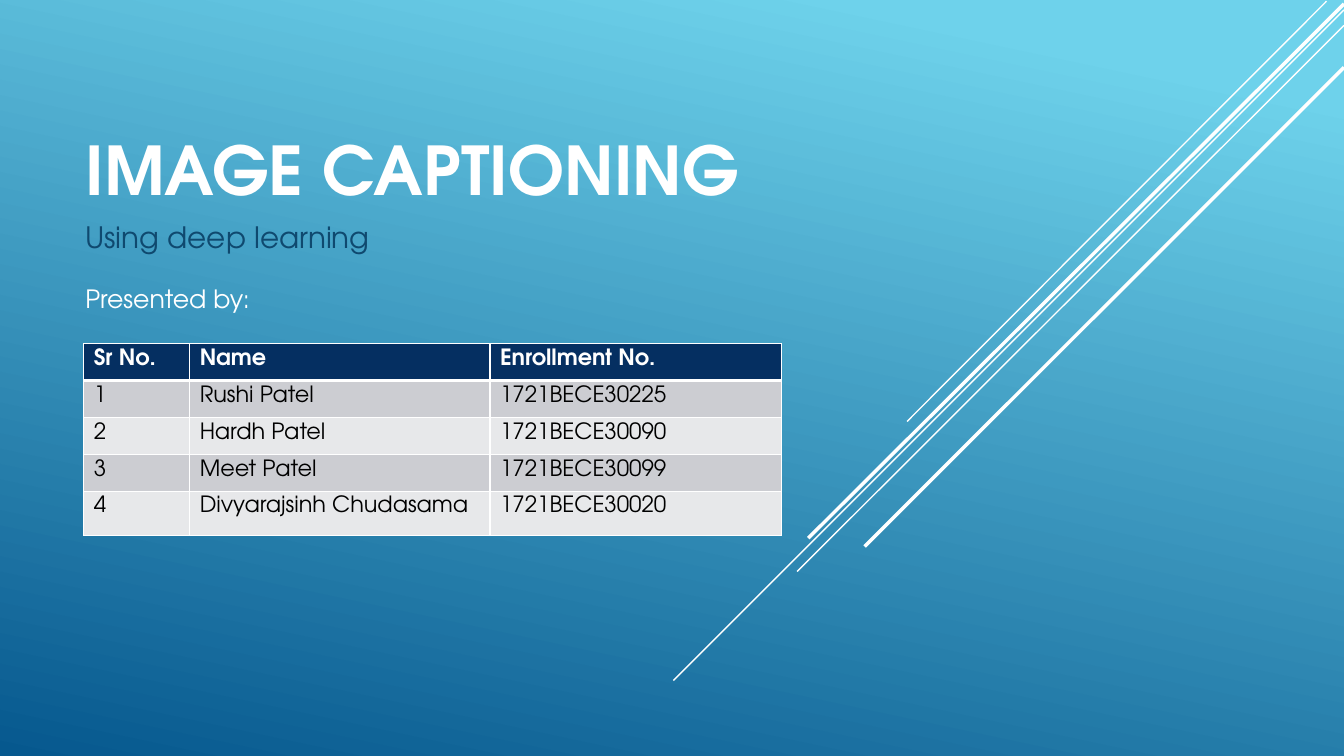
"""Build the title slide of the image captioning presentation."""
from dataclasses import dataclass

from lxml.etree import SubElement
from pptx import Presentation
from pptx.dml.color import RGBColor
from pptx.enum.shapes import MSO_CONNECTOR
from pptx.enum.text import MSO_ANCHOR, MSO_AUTO_SIZE, PP_ALIGN
from pptx.oxml.ns import qn
from pptx.shapes.base import BaseShape
from pptx.slide import Slide
from pptx.table import _Cell
from pptx.util import Cm, Pt

FONT = "TeX Gyre Adventor"
WHITE, BLACK, NAVY, TEAL = "FFFFFF", "000000", "052F61", "0F496F"
BAND_FILLS = ("E7E8EA", "CCCDD2")


@dataclass(frozen=True)
class Ray:
    start_x: float
    start_y: float
    end_x: float
    end_y: float
    width: float


@dataclass(frozen=True)
class TextStyle:
    size: float
    color: str
    bold: bool = False


@dataclass(frozen=True)
class Label:
    text: str
    left: float
    top: float
    width: float
    height: float
    style: TextStyle
    anchor: MSO_ANCHOR = MSO_ANCHOR.TOP


RAYS = (
    Ray(33.43, 0.03, 22.86, 10.62, 1),
    Ray(33.87, 0.25, 16.97, 17.15, 1),
    Ray(33.87, 0.64, 20.09, 14.4, 1),
    Ray(33.87, 0.1, 20.37, 13.56, 2.5),
    Ray(33.87, 1.7, 21.79, 13.77, 2.5),
)
TITLE = Label("IMAGE CAPTIONING", 1.9, 2.7, 22.23, 2.69,
              TextStyle(48, WHITE, True), MSO_ANCHOR.BOTTOM)
SUBTITLE = Label("Using deep learning", 1.9, 5.4, 17.78, 1.63, TextStyle(21, TEAL))
PRESENTED_BY = Label("Presented by:", 1.9, 7.02, 8.89, 1.02, TextStyle(18, WHITE))

STUDENTS = (
    ("Sr No.", "Name", "Enrollment No."),
    ("1", "Rushi Patel", "1721BECE30225"),
    ("2", "Hardh Patel", "1721BECE30090"),
    ("3", "Meet Patel", "1721BECE30099"),
    ("4", "Divyarajsinh Chudasama", "1721BECE30020"),
)
COLUMN_WIDTHS = (2.67, 7.57, 7.34)
ROW_HEIGHTS = (0.93, 0.93, 0.93, 0.93, 1.12)
HEADER_STYLE = TextStyle(16, WHITE, True)
BODY_STYLE = TextStyle(16, BLACK)


def rgb(color: str) -> RGBColor:
    return RGBColor.from_string(color)


def paint_background(slide: Slide) -> None:
    fill = slide.background.fill
    fill.gradient()
    fill.gradient_angle = 258
    for stop, position, color in zip(fill.gradient_stops, (0.1, 1), ("6ED2EB", "06588E")):
        stop.position = position
        stop.color.rgb = rgb(color)


def draw_ray(slide: Slide, ray: Ray) -> None:
    connector = slide.shapes.add_connector(
        MSO_CONNECTOR.STRAIGHT, Cm(ray.start_x), Cm(ray.start_y), Cm(ray.end_x), Cm(ray.end_y))
    connector.line.color.rgb = rgb(WHITE)
    connector.line.width = Pt(ray.width)
    SubElement(connector.element.spPr, qn("a:effectLst"))


def write_text(holder: BaseShape | _Cell, text: str, style: TextStyle) -> None:
    holder.text_frame.text = text
    paragraph = holder.text_frame.paragraphs[0]
    paragraph.alignment = PP_ALIGN.LEFT
    font = paragraph.runs[0].font
    font.name = FONT
    font.size = Pt(style.size)
    font.bold = style.bold
    font.color.rgb = rgb(style.color)


def place_label(shape: BaseShape, label: Label) -> None:
    shape.left, shape.top = Cm(label.left), Cm(label.top)
    shape.width, shape.height = Cm(label.width), Cm(label.height)
    text_frame = shape.text_frame
    text_frame.word_wrap = True
    text_frame.auto_size = MSO_AUTO_SIZE.NONE
    text_frame.vertical_anchor = label.anchor
    write_text(shape, label.text, label.style)


def add_label(slide: Slide, label: Label) -> None:
    place_label(slide.shapes.add_textbox(0, 0, 0, 0), label)


def format_cell(cell: _Cell, row_index: int) -> None:
    is_header = row_index == 0
    cell.margin_top, cell.margin_bottom = Cm(0.13), Cm(0)
    properties = cell._tc.get_or_add_tcPr()
    for side in ("L", "R", "T", "B"):
        thick = (is_header and side == "B") or (row_index == 1 and side == "T")
        border = SubElement(properties, qn(f"a:ln{side}"), w=str(Pt(3 if thick else 1)))
        border_fill = SubElement(border, qn("a:solidFill"))
        SubElement(border_fill, qn("a:srgbClr"), val=WHITE)
    cell.fill.solid()
    cell.fill.fore_color.rgb = rgb(NAVY if is_header else BAND_FILLS[row_index % 2])


def add_student_table(slide: Slide) -> None:
    table = slide.shapes.add_table(
        len(STUDENTS), len(COLUMN_WIDTHS), Cm(2.11), Cm(8.66),
        Cm(sum(COLUMN_WIDTHS)), Cm(sum(ROW_HEIGHTS))).table
    for column, width in zip(table.columns, COLUMN_WIDTHS):
        column.width = Cm(width)
    for row_index, (row, height, texts) in enumerate(zip(table.rows, ROW_HEIGHTS, STUDENTS)):
        row.height = Cm(height)
        for cell, text in zip(row.cells, texts):
            format_cell(cell, row_index)
            write_text(cell, text, BODY_STYLE if row_index else HEADER_STYLE)


def main() -> None:
    presentation = Presentation()
    presentation.slide_width, presentation.slide_height = Cm(33.87), Cm(19.05)
    slide = presentation.slides.add_slide(presentation.slide_layouts[5])
    paint_background(slide)
    for ray in RAYS:
        draw_ray(slide, ray)
    place_label(slide.shapes.title, TITLE)
    add_label(slide, SUBTITLE)
    add_label(slide, PRESENTED_BY)
    add_student_table(slide)
    presentation.save("out.pptx")


if __name__ == "__main__":
    main()
